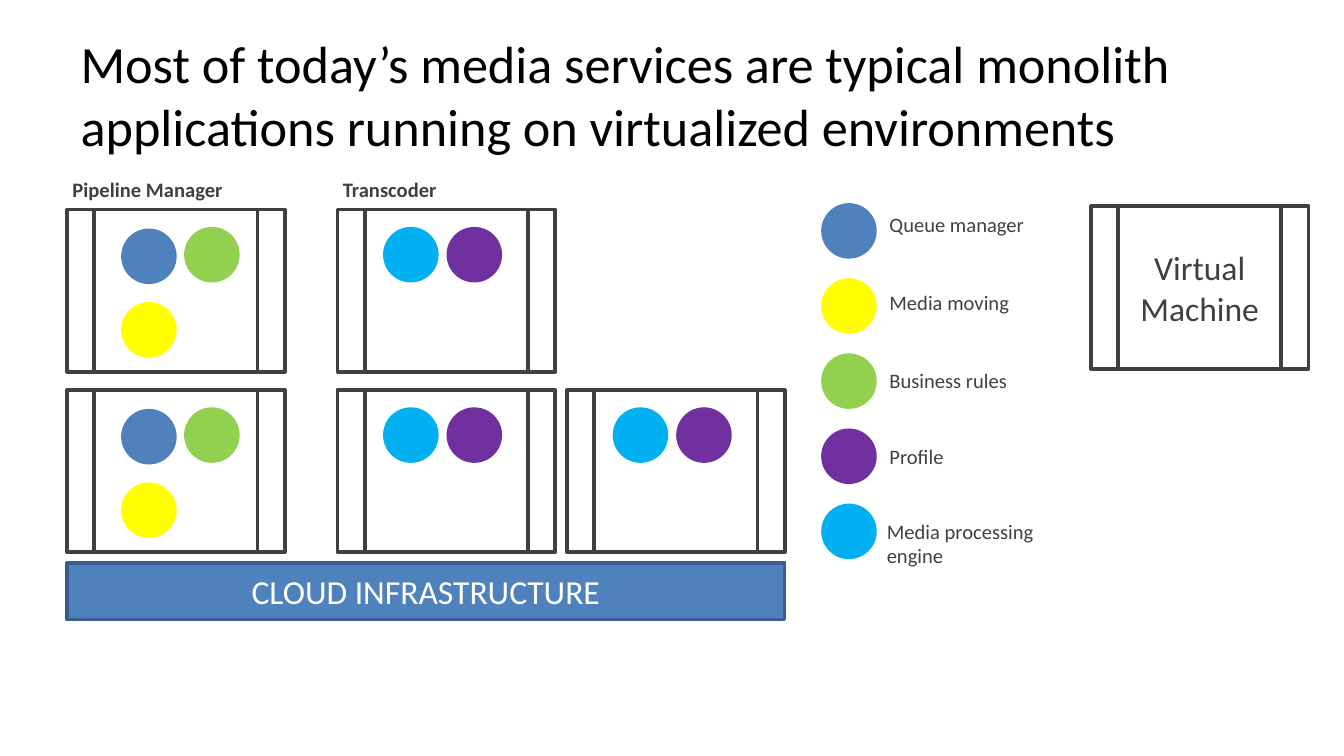
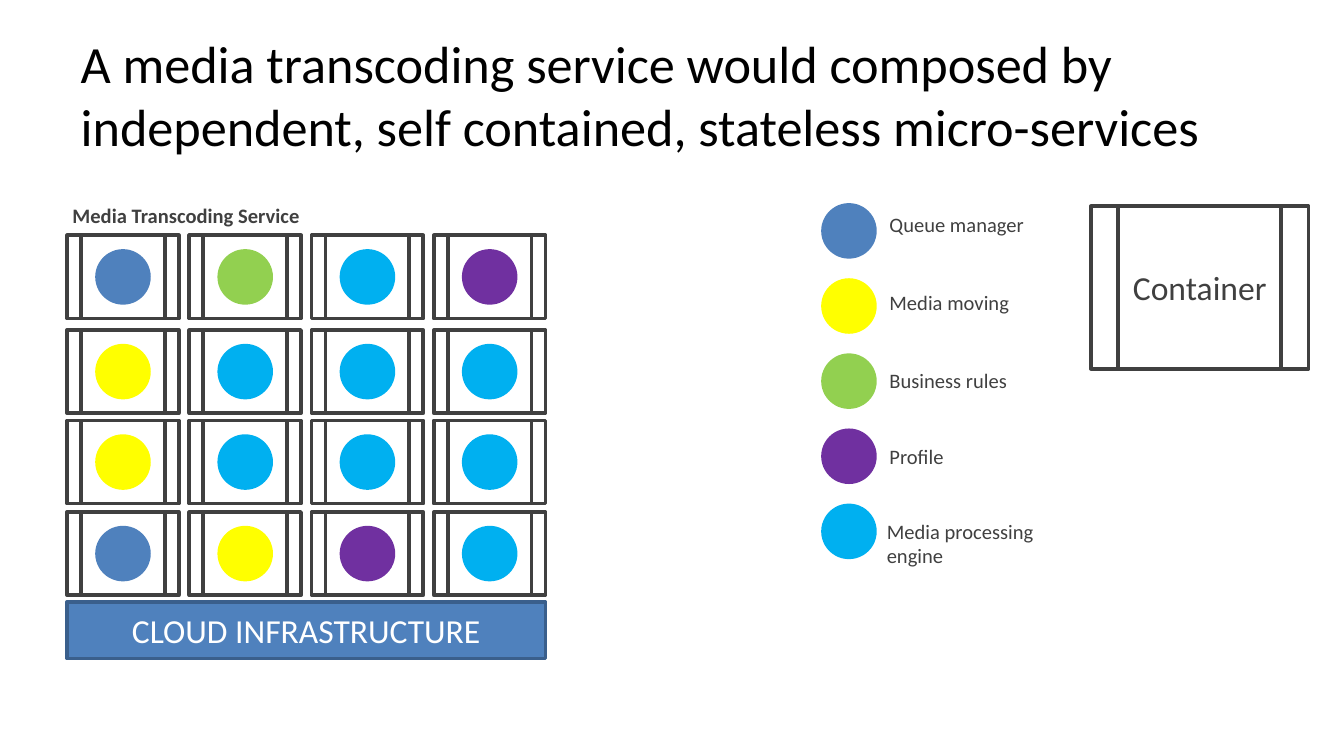
from dataclasses import dataclass

from pptx import Presentation
from pptx.dml.color import RGBColor
from pptx.enum.shapes import MSO_SHAPE
from pptx.enum.text import MSO_ANCHOR, MSO_AUTO_SIZE, PP_ALIGN
from pptx.util import Cm, Pt


@dataclass(frozen=True)
class Theme:
    font: str = "Calibri"
    title_size: int = 28
    block_size: int = 18
    label_size: int = 11
    line_width: int = 2
    black: str = "000000"
    white: str = "FFFFFF"
    gray: str = "404040"
    queue: str = "4F81BD"
    moving: str = "FFFF00"
    rules: str = "92D050"
    profile: str = "7030A0"
    engine: str = "00B0F0"
    cloud_edge: str = "3A5F8C"


THEME = Theme()

# Shared measures, in centimetres
LEFT = 1.27
DOT = 1.05
MACHINE = (4.11, 3.07)
CONTAINER = (2.11, 1.57)

# Legend: service, colour, label left and top
LEGEND = [
    ("Queue manager", THEME.queue, 16.56, 3.89),
    ("Media moving", THEME.moving, 16.56, 5.36),
    ("Business rules", THEME.rules, 16.56, 6.83),
    ("Profile", THEME.profile, 16.56, 8.26),
    ("Media processing engine", THEME.engine, 16.51, 9.68),
]

# Services inside a machine: colour and offset from its corner
MANAGER = [
    (THEME.moving, 1.02, 1.75),
    (THEME.rules, 2.21, 0.33),
    (THEME.queue, 1.02, 0.36),
]
TRANSCODER = [(THEME.engine, 0.86, 0.33), (THEME.profile, 2.06, 0.33)]

# One service per container, row by row
MICRO_SERVICES = [
    (4.45, [THEME.queue, THEME.rules, THEME.engine, THEME.profile]),
    (6.24, [THEME.moving, THEME.engine, THEME.engine, THEME.engine]),
    (7.95, [THEME.moving, THEME.engine, THEME.engine, THEME.engine]),
    (9.68, [THEME.queue, THEME.moving, THEME.profile, THEME.engine]),
]


class Deck:
    def __init__(self, theme):
        self.theme = theme
        self.prs = Presentation()
        self.prs.slide_width, self.prs.slide_height = Cm(25.4), Cm(14.29)
        self.slide = None

    def new_slide(self, title):
        self.slide = self.prs.slides.add_slide(self.prs.slide_layouts[5])
        heading = self.slide.shapes.title
        heading.left, heading.top = Cm(LEFT), Cm(0.58)
        heading.width, heading.height = Cm(22.86), Cm(2.39)
        heading.text_frame.auto_size = MSO_AUTO_SIZE.NONE
        self.set_text(heading, title, self.theme.title_size, self.theme.black)

    def set_text(self, shape, text, size, color, bold=False,
                 align=PP_ALIGN.LEFT, anchor=MSO_ANCHOR.MIDDLE):
        frame = shape.text_frame
        frame.text = text
        frame.vertical_anchor = anchor
        paragraph = frame.paragraphs[0]
        paragraph.alignment = align
        font = paragraph.runs[0].font
        font.name, font.size, font.bold = self.theme.font, Pt(size), bold
        font.color.rgb = RGBColor.from_string(color)

    def block(self, kind, left, top, width, height, fill=None, line=None, parent=None):
        shapes = (parent or self.slide).shapes
        shape = shapes.add_shape(kind, Cm(left), Cm(top), Cm(width), Cm(height))
        shape.shadow.inherit = False
        if fill:
            shape.fill.solid()
            shape.fill.fore_color.rgb = RGBColor.from_string(fill)
        else:
            shape.fill.background()
        if line:
            shape.line.color.rgb = RGBColor.from_string(line)
            shape.line.width = Pt(self.theme.line_width)
        else:
            shape.line.fill.background()
        return shape

    def dot(self, left, top, color, parent=None):
        self.block(MSO_SHAPE.OVAL, left, top, DOT, DOT, fill=color, parent=parent)

    def frame(self, left, top, size, parent=None):
        return self.block(MSO_SHAPE.FLOWCHART_PREDEFINED_PROCESS, left, top, *size,
                          line=self.theme.gray, parent=parent)

    def unit(self, left, top, size, services):
        """A machine or container grouped with the services it runs."""
        group = self.slide.shapes.add_group_shape()
        for color, dx, dy in services:
            self.dot(left + dx, top + dy, color, group)
        self.frame(left, top, size, group)

    def label(self, text, left, top, width, height, bold=False):
        box = self.slide.shapes.add_textbox(Cm(left), Cm(top), Cm(width), Cm(height))
        self.set_text(box, text, self.theme.label_size, self.theme.gray, bold,
                      anchor=MSO_ANCHOR.TOP)
        return box

    def heading(self, text, left, top, width):
        frame = self.label(text, left, top, width, 0.48, bold=True).text_frame
        frame.word_wrap = True
        frame.margin_left = frame.margin_right = Cm(0.1)
        frame.margin_top = frame.margin_bottom = 0

    def legend(self, unit_name):
        for row, (service, color, left, top) in enumerate(LEGEND):
            self.dot(15.52, 3.84 + row * 1.42, color)
            self.label(service, left, top, 4.4, 0.74).text_frame.word_wrap = False
        sample = self.frame(20.62, 3.9, MACHINE)
        self.set_text(sample, unit_name, self.theme.block_size, self.theme.gray,
                      align=PP_ALIGN.CENTER)

    def cloud(self, top, width):
        bar = self.block(MSO_SHAPE.RECTANGLE, LEFT, top, width, 1.07,
                         fill=self.theme.queue, line=self.theme.cloud_edge)
        self.set_text(bar, "CLOUD INFRASTRUCTURE", self.theme.block_size,
                      self.theme.white, align=PP_ALIGN.CENTER)


def monolith_slide(deck):
    deck.new_slide("Most of today’s media services are typical monolith "
                   "applications running on virtualized environments")
    # Virtual machines
    upper, lower, transcoder_left = 3.96, 7.37, 6.38
    deck.heading("Pipeline Manager", LEFT, 3.35, 3.23)
    deck.heading("Transcoder", transcoder_left, 3.35, 3.23)
    for top in (upper, lower):
        deck.unit(LEFT, top, MACHINE, MANAGER)
        deck.unit(transcoder_left, top, MACHINE, TRANSCODER)
    deck.unit(10.72, lower, MACHINE, TRANSCODER)
    deck.cloud(10.64, 13.56)
    deck.legend("Virtual Machine")


def micro_services_slide(deck):
    deck.new_slide("A media transcoding service would composed by "
                   "independent, self contained, stateless micro-services")
    # Grid of containers
    deck.heading("Media Transcoding Service", LEFT, 3.84, 9.04)
    for top, services in MICRO_SERVICES:
        for column, color in enumerate(services):
            deck.unit(LEFT + column * 2.31, top, CONTAINER, [(color, 0.53, 0.26)])
    deck.cloud(11.38, 9.04)
    deck.legend("Container")


def main():
    deck = Deck(THEME)
    monolith_slide(deck)
    micro_services_slide(deck)
    deck.prs.save("out.pptx")


if __name__ == "__main__":
    main()
